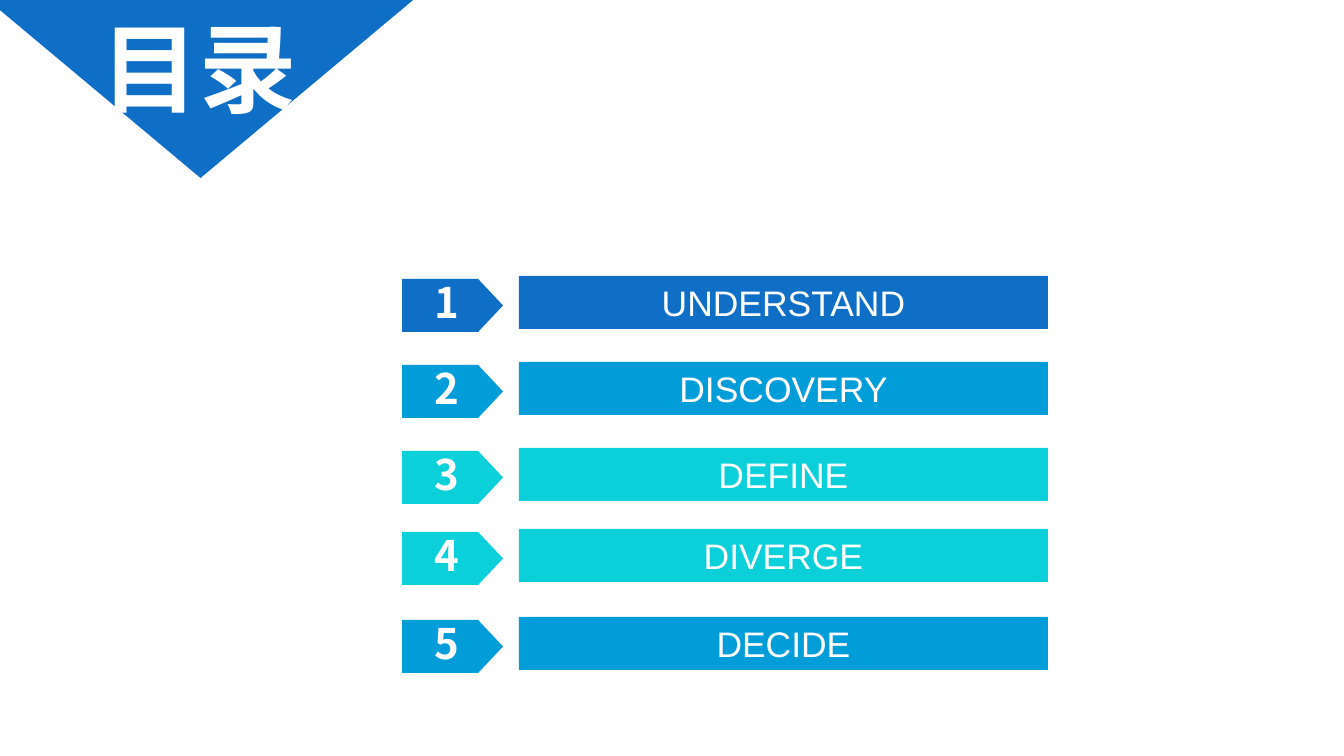
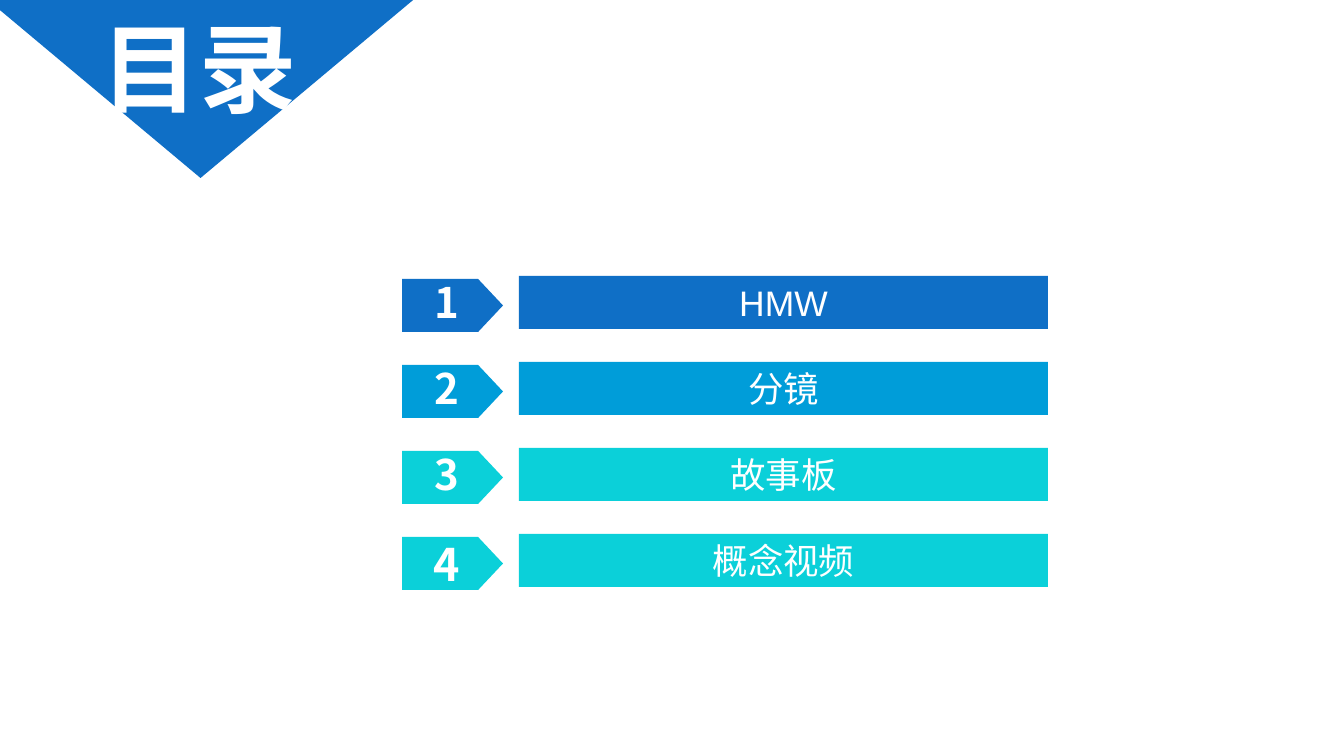
from dataclasses import dataclass

from pptx import Presentation
from pptx import util as u
from pptx.dml.color import RGBColor
from pptx.enum import shapes, text


@dataclass(frozen=True)
class Theme:
    blue: str = "0F6FC6"
    sky: str = "009DD9"
    aqua: str = "0BD0D9"
    white: str = "FFFFFF"
    body_font: str = "Arial"
    number_font: str = "Noto Sans CJK SC"
    title_size: float = 69.6
    label_size: float = 25.3
    number_size: float = 30
    arrow_number_size: float = 32


T = Theme()
TITLE = "目录"
AGENDAS = [
    [
        dict(label="UNDERSTAND", color=T.blue),
        dict(label="DISCOVERY", color=T.sky),
        dict(label="DEFINE", color=T.aqua),
        dict(label="DIVERGE", color=T.aqua, shift=-5),
        dict(label="DECIDE", color=T.sky, shift=-3),
    ],
    [
        dict(label="HMW", color=T.blue),
        dict(label="分镜", color=T.sky),
        dict(label="故事板", color=T.aqua),
        dict(label="概念视频", color=T.aqua, number_in_arrow=True),
    ],
]

SLIDE_W, SLIDE_H = 1344, 756
PX = u.Inches(7.5) / SLIDE_H
TRIANGLE = (-36, -20, 473, 198)
TITLE_BOX = (102, 8, 195, 118)
FIRST_TOP, PITCH = 276, 86
BAR_X, BAR_W, BAR_H = 519, 529, 53
ARROW_X, ARROW_W, ARROW_DROP = 402, 101, 3
NUMBER_X, NUMBER_W, NUMBER_H, NUMBER_DROP = 434, 26, 50, 1


def emu(box):
    return [u.Emu(round(v * PX)) for v in box]


def rgb(color):
    return RGBColor.from_string(color)


def write(sp, content, size, font=T.body_font, bold=False,
          align=text.PP_ALIGN.CENTER, anchor=text.MSO_ANCHOR.TOP, grow=True):
    tf = sp.text_frame
    tf.vertical_anchor = anchor
    if grow:
        tf.auto_size = text.MSO_AUTO_SIZE.SHAPE_TO_FIT_TEXT
    p = tf.paragraphs[0]
    p.alignment = align
    r = p.add_run()
    r.text = content
    r.font.name = font
    r.font.size = u.Pt(size)
    r.font.bold = bold
    r.font.color.rgb = rgb(T.white)


def add_shape(s, kind, box, color):
    sp = s.shapes.add_shape(kind, *emu(box))
    sp.shadow.inherit = False
    sp.fill.solid()
    sp.fill.fore_color.rgb = rgb(color)
    sp.line.fill.background()
    return sp


def add_text(s, box, content, size, **fmt):
    sp = s.shapes.add_textbox(*emu(box))
    tf = sp.text_frame
    tf.word_wrap = False
    tf.margin_left = tf.margin_right = tf.margin_top = tf.margin_bottom = 0
    write(sp, content, size, bold=True, **fmt)


def add_header(s):
    triangle = add_shape(s, shapes.MSO_SHAPE.ISOSCELES_TRIANGLE, TRIANGLE, T.blue)
    triangle.rotation = 180
    add_text(s, TITLE_BOX, TITLE, T.title_size, align=text.PP_ALIGN.LEFT)


def add_row(s, index, label, color, shift=0, number_in_arrow=False):
    top = FIRST_TOP + index * PITCH + shift
    number = str(index + 1)
    bar = add_shape(s, shapes.MSO_SHAPE.RECTANGLE, (BAR_X, top, BAR_W, BAR_H), color)
    write(bar, label, T.label_size)
    arrow = add_shape(s, shapes.MSO_SHAPE.PENTAGON,
                      (ARROW_X, top + ARROW_DROP, ARROW_W, BAR_H), color)
    arrow.adjustments[0] = 0.47
    if number_in_arrow:
        write(arrow, number, T.arrow_number_size, font=T.number_font, bold=True,
              anchor=text.MSO_ANCHOR.MIDDLE, grow=False)
    else:
        add_text(s, (NUMBER_X, top + NUMBER_DROP, NUMBER_W, NUMBER_H), number,
                 T.number_size, font=T.number_font)


def main():
    prs = Presentation()
    prs.slide_width, prs.slide_height = emu((SLIDE_W, SLIDE_H))
    for agenda in AGENDAS:
        s = prs.slides.add_slide(prs.slide_layouts[6])
        add_header(s)
        for index, row in enumerate(agenda):
            add_row(s, index, **row)
    prs.save("out.pptx")


if __name__ == "__main__":
    main()
